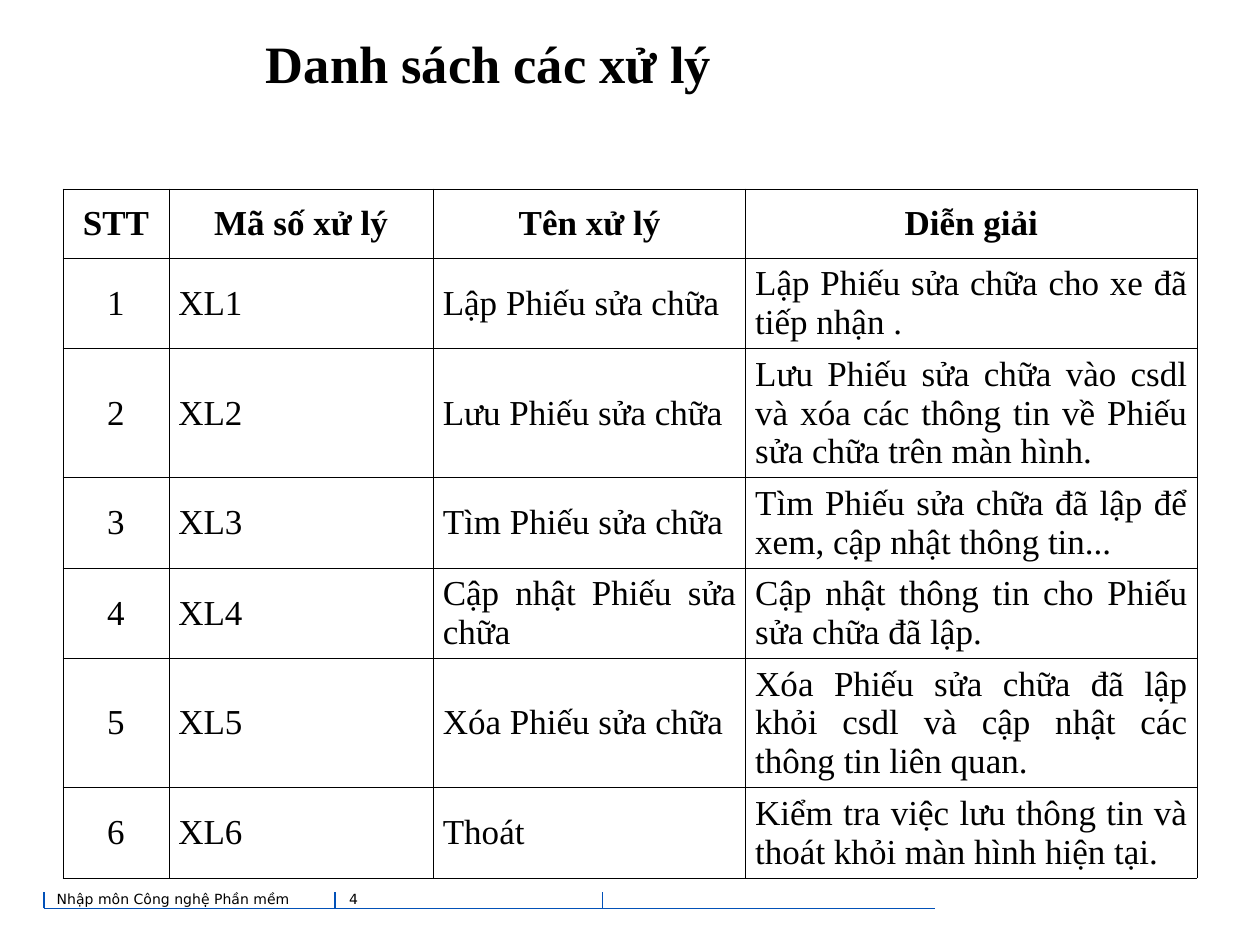
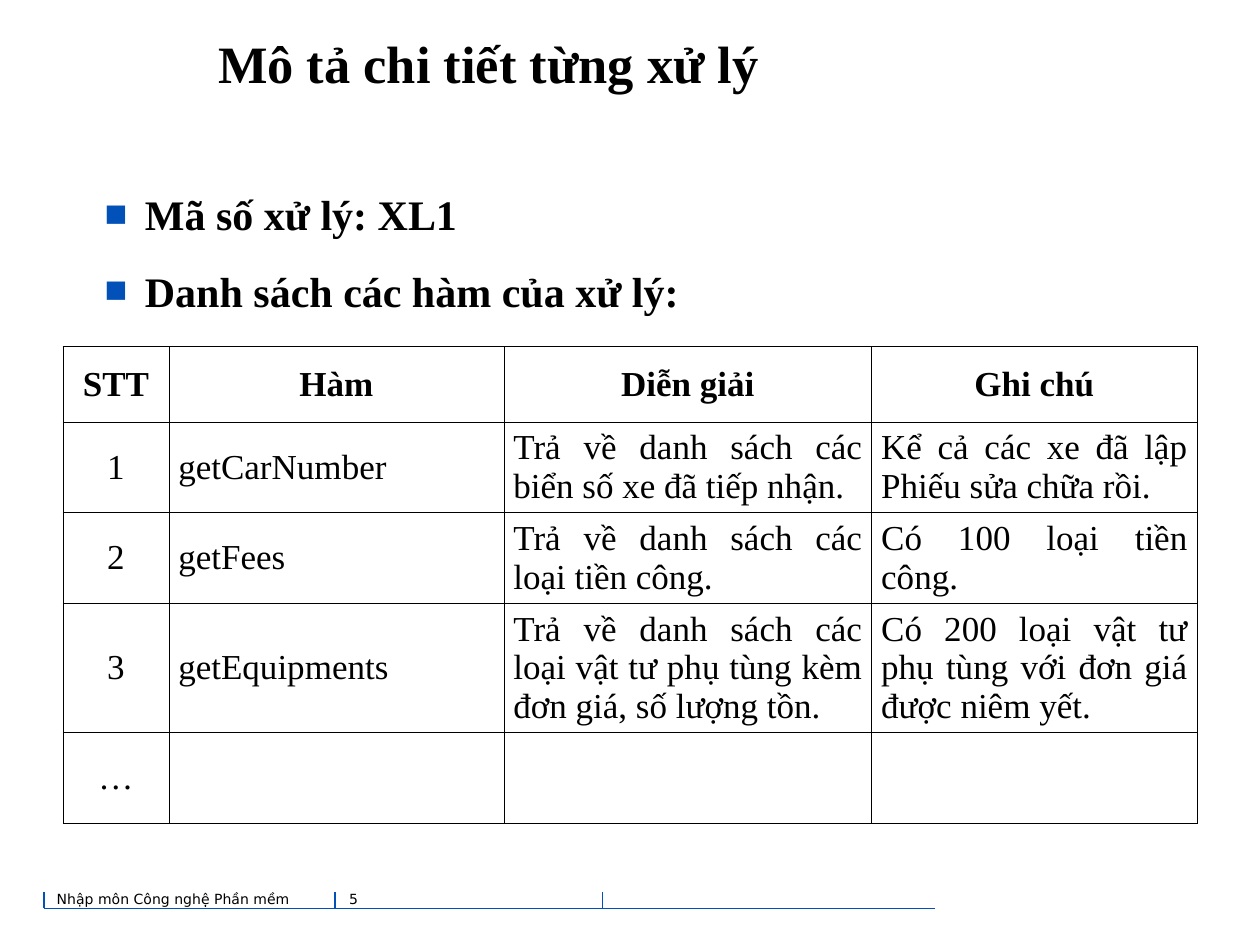
from dataclasses import dataclass

from lxml import etree
from pptx import Presentation
from pptx import util as u
from pptx.dml.color import RGBColor
from pptx.enum import shapes, text
from pptx.oxml import ns


@dataclass(frozen=True)
class Theme:
    """Colours, fonts and sizes shared by the slides."""
    ink: str = "000000"
    accent: str = "0251B8"
    paper: str = "FFFFFF"
    serif: str = "Times New Roman"
    sans: str = "DejaVu Sans"
    title: float = 30
    body: float = 24
    table: float = 20
    footer: float = 8
    rule: float = 0.75
    border: float = 0.45


T = Theme()
TITLE_BOX = (12.2, 5, 534.2, 61.2)
LIST_BOX = (59.8, 102.2, 599.8, 354.2)
FOOTER_BOX = (25.2, 509.8, 509, 9.3)
COURSE = "Nhập môn Công nghệ Phần mềm"

PROCESS_COLS = (60.5, 151.2, 178.5, 257.8)
PROCESS_ROWS = (39.6, 48.2, 72, 48.2, 48.2, 72, 48.2)
PROCESSES = (
    ("STT", "Mã số xử lý", "Tên xử lý", "Diễn giải"),
    ("1", "XL1", "Lập Phiếu sửa chữa", "Lập Phiếu sửa chữa cho xe đã tiếp nhận ."),
    ("2", "XL2", "Lưu Phiếu sửa chữa",
     "Lưu Phiếu sửa chữa vào csdl và xóa các thông tin về Phiếu sửa chữa trên màn hình."),
    ("3", "XL3", "Tìm Phiếu sửa chữa",
     "Tìm Phiếu sửa chữa đã lập để xem, cập nhật thông tin..."),
    ("4", "XL4", "Cập nhật Phiếu sửa chữa", "Cập nhật thông tin cho Phiếu sửa chữa đã lập."),
    ("5", "XL5", "Xóa Phiếu sửa chữa",
     "Xóa Phiếu sửa chữa đã lập khỏi csdl và cập nhật các thông tin liên quan."),
    ("6", "XL6", "Thoát", "Kiểm tra việc lưu thông tin và thoát khỏi màn hình hiện tại."),
)

FUNCTION_COLS = (60.5, 191.5, 210.2, 185.8)
FUNCTION_ROWS = (43.2, 51.8, 51.8, 72, 51.8)
FUNCTIONS = (
    ("STT", "Hàm", "Diễn giải", "Ghi chú"),
    ("1", "getCarNumber", "Trả về danh sách các biển số xe đã tiếp nhận.",
     "Kể cả các xe đã lập Phiếu sửa chữa rồi."),
    ("2", "getFees", "Trả về danh sách các loại tiền công.", "Có 100 loại tiền công."),
    ("3", "getEquipments",
     "Trả về danh sách các loại vật tư phụ tùng kèm đơn giá, số lượng tồn.",
     "Có 200 loại vật tư phụ tùng với đơn giá được niêm yết."),
    ("…", "", "", ""),
)


def points(values):
    """Convert numbers to point lengths."""
    return [u.Pt(v) for v in values]


def add_run(p, words, size, font=T.serif, bold=False):
    """Add one formatted run to a paragraph."""
    r = p.add_run()
    r.text = words
    r.font.name, r.font.size, r.font.bold = font, u.Pt(size), bold
    r.font.color.rgb = RGBColor.from_string(T.ink)


def place(sp, box, inset=0):
    """Move a text shape to a box and return its wrapped text frame."""
    sp.left, sp.top, sp.width, sp.height = points(box)
    tf = sp.text_frame
    tf.word_wrap, tf.auto_size = True, text.MSO_AUTO_SIZE.NONE
    tf.margin_left = tf.margin_top = tf.margin_right = tf.margin_bottom = u.Pt(inset)
    return tf


def add_xml(parent, tag, **attrs):
    """Append a drawing element and return it."""
    return etree.SubElement(parent, ns.qn(tag), attrs)


def add_rule(s, x1, y1, x2, y2):
    """Draw one accent line."""
    sp = s.shapes.add_connector(shapes.MSO_CONNECTOR.STRAIGHT, *points((x1, y1, x2, y2)))
    sp.line.color.rgb = RGBColor.from_string(T.accent)
    sp.line.width = u.Pt(T.rule)
    add_xml(sp._element.spPr, "a:effectLst")


def add_footer(s, number, box=FOOTER_BOX):
    """Draw the ruled footer with the course name and slide number."""
    x, y, w, h = box
    bottom = y + h
    add_rule(s, x + w, bottom, x, bottom)
    for dx in (0, 166.3, 319):
        add_rule(s, x + dx, bottom, x + dx, y)
    for words, dx, width in ((COURSE, 4.3, 157.7), (str(number), 171.4, 90)):
        label = (x + dx, y - 3.6, width, 18)
        tf = place(s.shapes.add_textbox(*points(label)), label, 2.9)
        add_run(tf.paragraphs[0], words, T.footer, T.sans)


def add_title(s, words, box=TITLE_BOX):
    """Fill and place the title placeholder."""
    tf = place(s.shapes.title, box)
    tf.vertical_anchor = text.MSO_ANCHOR.MIDDLE
    p = tf.paragraphs[0]
    p.alignment = text.PP_ALIGN.CENTER
    add_run(p, words, T.title, bold=True)


def add_list(s, items, box=LIST_BOX):
    """Fill the body placeholder with square bullets."""
    tf = place(s.placeholders[1], box)
    for i, words in enumerate(items):
        p = tf.paragraphs[0] if i == 0 else tf.add_paragraph()
        p.alignment = text.PP_ALIGN.JUSTIFY
        p.line_spacing = 1.2
        p.space_before, p.space_after = u.Pt(4.5 if i else 0), u.Pt(4.5)
        pPr = p._p.get_or_add_pPr()
        pPr.set("marL", str(u.Pt(23)))
        pPr.set("indent", str(u.Pt(-23)))
        add_xml(add_xml(pPr, "a:buClr"), "a:srgbClr", val=T.accent)
        add_xml(pPr, "a:buSzPct", val="90000")
        add_xml(pPr, "a:buFont", typeface=T.serif)
        add_xml(pPr, "a:buChar", char="■")
        add_run(p, words, T.body, bold=True)


def format_cell(cell, words, heading, centred):
    """Write a bordered, unfilled table cell."""
    tcPr = cell._tc.get_or_add_tcPr()
    for side in "LRTB":
        ln = add_xml(tcPr, f"a:ln{side}", w=str(u.Pt(T.border)))
        add_xml(add_xml(ln, "a:solidFill"), "a:srgbClr", val=T.ink)
    cell.fill.background()
    cell.vertical_anchor = text.MSO_ANCHOR.MIDDLE
    cell.margin_left = cell.margin_right = u.Pt(5.4)
    cell.margin_top = cell.margin_bottom = u.Pt(3.6)
    if words:
        p = cell.text_frame.paragraphs[0]
        p.alignment = text.PP_ALIGN.CENTER if centred else text.PP_ALIGN.JUSTIFY
        add_run(p, words, T.table, bold=heading)


def add_grid(s, rows, widths, heights, top):
    """Draw a table with a bold heading row and centred first column."""
    box = (36, top, sum(widths), sum(heights))
    table = s.shapes.add_table(len(rows), len(widths), *points(box)).table
    table.first_row = table.horz_banding = False
    for column, width in zip(table.columns, points(widths)):
        column.width = width
    for row, height in zip(table.rows, points(heights)):
        row.height = height
    for i, row in enumerate(rows):
        for j, words in enumerate(row):
            format_cell(table.cell(i, j), words, i == 0, i == 0 or j == 0)


def new_slide(prs, layout, title, number):
    """Add a slide with the shared background, footer and title."""
    s = prs.slides.add_slide(prs.slide_layouts[layout])
    s.background.fill.solid()
    s.background.fill.fore_color.rgb = RGBColor.from_string(T.paper)
    add_footer(s, number)
    add_title(s, title)
    return s


def process_slide(prs):
    """Build the slide listing all processes."""
    s = new_slide(prs, 5, "Danh sách các xử lý", 4)
    add_grid(s, PROCESSES, PROCESS_COLS, PROCESS_ROWS, 108)


def detail_slide(prs):
    """Build the slide describing the functions of one process."""
    s = new_slide(prs, 1, "Mô tả chi tiết từng xử lý", 5)
    add_list(s, ("Mã số xử lý: XL1", "Danh sách các hàm của xử lý:"))
    add_grid(s, FUNCTIONS, FUNCTION_COLS, FUNCTION_ROWS, 198)


def main():
    """Build and save the presentation."""
    prs = Presentation()
    prs.slide_width, prs.slide_height = points((720, 540))
    process_slide(prs)
    detail_slide(prs)
    prs.save("out.pptx")


if __name__ == "__main__":
    main()
